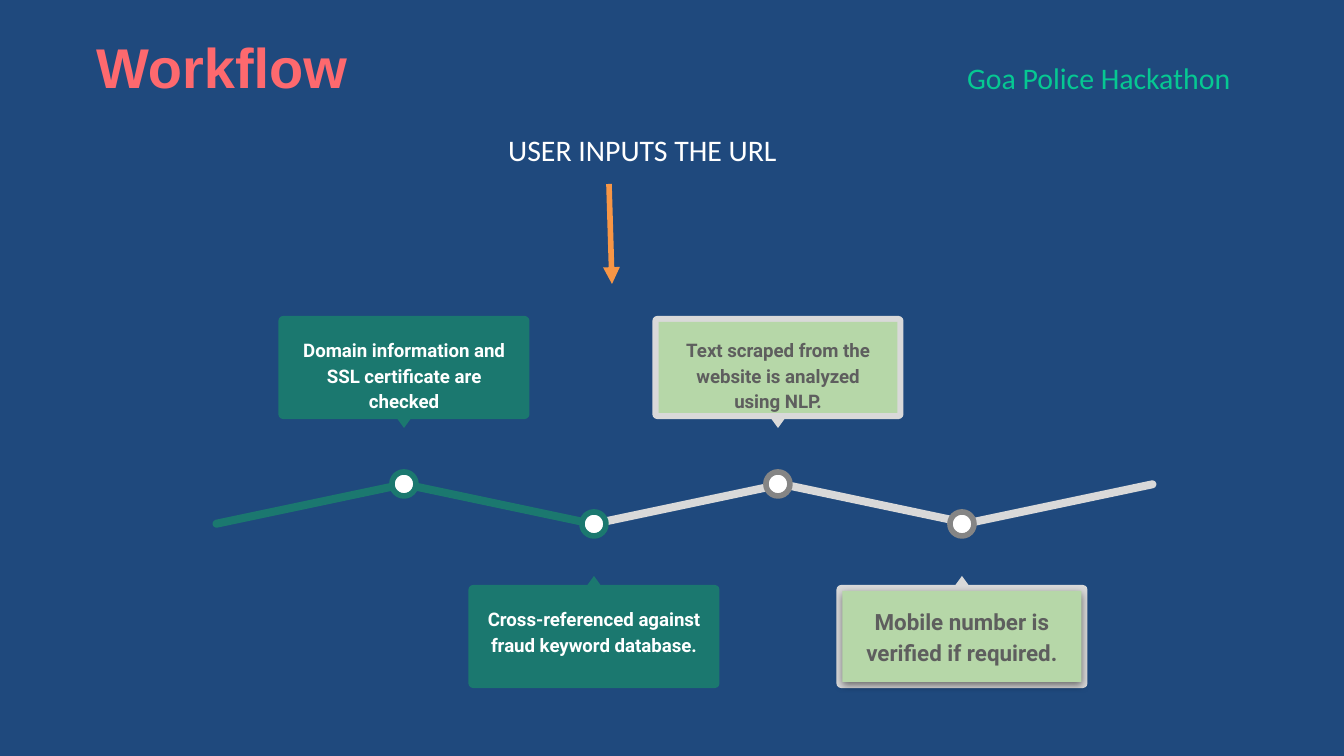
from lxml.etree import SubElement
from pptx import Presentation
from pptx.dml.color import RGBColor
from pptx.enum.shapes import MSO_CONNECTOR, MSO_SHAPE
from pptx.enum.text import MSO_ANCHOR, PP_ALIGN
from pptx.oxml.ns import qn
from pptx.util import Emu, Inches, Pt

PX = 914400 / 134.4
NAVY, TEAL, SILVER, GRAY = "1F497D", "1B786F", "D9D9D9", "858585"
GREEN, DARK, WHITE, ORANGE = "B6D7A8", "5E5E5E", "FFFFFF", "F79646"

# text, box in px, font, size, colour, bold
HEADINGS = [
    ("Goa Police Hackathon", (954, 46, 327, 59), "Calibri", 16, "06C892", False),
    ("Workflow", (83, 19, 456, 133), "Arial", 30, "FD696E", True),
    ("USER INPUTS THE URL", (495, 118, 480, 97), "Calibri", 16, WHITE, False),
]
ARROW = (609, 184, 612, 284)

DONE = {"card": TEAL, "ring": TEAL, "panel": None, "ink": WHITE}
PENDING = {"card": SILVER, "ring": GRAY, "panel": GREEN, "ink": DARK}
# text, centre x in px, above the line, style, text size, shadow
STEPS = [
    ("Domain information and SSL certificate are checked", 404, True, DONE, 10, False),
    ("Cross-referenced against fraud keyword database.", 594, False, DONE, 10, False),
    ("Text scraped from the website is analyzed using NLP.", 778, True, PENDING, 10, False),
    ("Mobile number is verified if required.", 962, False, PENDING, 12, True),
]
# centre x in px, colour; the segments rise and fall in turn
SEGMENTS = [(310, TEAL), (498, TEAL), (688, SILVER), (876, SILVER), (1059, SILVER)]
SEGMENT_SIZE, SEGMENT_Y, SLOPE = (199, 8), 504, 11.9
CARD_SIZE, PANEL_INSET = (251, 103), 6
POINTER_SIZE, DOT = (13, 9), 24


def px(*values):
    return [Emu(round(value * PX)) for value in values]


def color(hex_string):
    return RGBColor.from_string(hex_string)


def add_shape(shapes, kind, box, fill, adjustment=None, rotation=0, ring=None):
    shape = shapes.add_shape(kind, *px(*box))
    shape.shadow.inherit = False
    shape.fill.solid()
    shape.fill.fore_color.rgb = color(fill)
    if ring:
        shape.line.color.rgb = color(ring)
        shape.line.width = Pt(3)
    else:
        shape.line.fill.background()
    if adjustment is not None:
        shape.adjustments[0] = adjustment
    shape.rotation = rotation
    return shape


def write_text(shape, text, font, size, ink, bold=False, align=PP_ALIGN.LEFT,
               line_spacing=None, space_after=None):
    frame = shape.text_frame
    frame.word_wrap = True
    frame.vertical_anchor = MSO_ANCHOR.TOP
    frame.margin_left = frame.margin_right = Inches(0.1)
    frame.margin_top = frame.margin_bottom = Inches(0.1)
    paragraph = frame.paragraphs[0]
    paragraph.alignment = align
    paragraph.line_spacing = line_spacing
    paragraph.space_after = space_after
    run = paragraph.add_run()
    run.text = text
    run.font.name, run.font.size, run.font.bold = font, Pt(size), bold
    run.font.color.rgb = color(ink)


def add_soft_shadow(shape):
    effects = shape._element.spPr.find(qn("a:effectLst"))
    shadow = SubElement(effects, qn("a:outerShdw"), blurRad=str(Pt(4.5)),
                        dist=str(Pt(1.5)), dir="5400000", algn="t", rotWithShape="0")
    black = SubElement(shadow, qn("a:srgbClr"), val="000000")
    SubElement(black, qn("a:alpha"), val="50000")


def add_arrow(slide, ends):
    arrow = slide.shapes.add_connector(MSO_CONNECTOR.STRAIGHT, *px(*ends))
    arrow.line.color.rgb = color(ORANGE)
    arrow.line.width = Pt(3)
    SubElement(arrow.line._get_or_add_ln(), qn("a:tailEnd"), type="triangle")
    SubElement(arrow._element.spPr, qn("a:effectLst"))


def add_step(slide, text, x, above, style, size, shadow):
    """Group a card, its pointer, its text and its dot on the line."""
    shapes = slide.shapes.add_group_shape().shapes
    card_top, pointer_top, dot_y = (316, 419, 484) if above else (585, 576, 524)
    width, height = CARD_SIZE
    left = x - width / 2
    add_shape(shapes, MSO_SHAPE.ROUNDED_RECTANGLE, (left, card_top, width, height),
              style["card"], adjustment=0.045)
    add_shape(shapes, MSO_SHAPE.ISOSCELES_TRIANGLE,
              (x - POINTER_SIZE[0] / 2, pointer_top, *POINTER_SIZE),
              style["card"], rotation=180 if above else 0)
    panel_box = (left + PANEL_INSET, card_top + PANEL_INSET,
                 width - 2 * PANEL_INSET, height - 2 * PANEL_INSET)
    if style["panel"]:
        panel = add_shape(shapes, MSO_SHAPE.RECTANGLE, panel_box, style["panel"])
    else:
        panel = shapes.add_textbox(*px(*panel_box))
    if shadow:
        add_soft_shadow(panel)
    write_text(panel, text, "Roboto", size, style["ink"], bold=True,
               align=PP_ALIGN.CENTER, line_spacing=1.15, space_after=Pt(16))
    add_shape(shapes, MSO_SHAPE.OVAL, (x - DOT / 2, dot_y - DOT / 2, DOT, DOT),
              WHITE, ring=style["ring"])


def main():
    presentation = Presentation()
    presentation.slide_width, presentation.slide_height = px(1344, 756)
    slide = presentation.slides.add_slide(presentation.slide_layouts[6])
    slide.background.fill.solid()
    slide.background.fill.fore_color.rgb = color(NAVY)

    for text, box, font, size, ink, bold in HEADINGS:
        write_text(slide.shapes.add_textbox(*px(*box)), text, font, size, ink, bold=bold)

    width, height = SEGMENT_SIZE
    for index, (x, fill) in reversed(list(enumerate(SEGMENTS))):
        add_shape(slide.shapes, MSO_SHAPE.ROUNDED_RECTANGLE,
                  (x - width / 2, SEGMENT_Y - height / 2, width, height), fill,
                  adjustment=0.5, rotation=SLOPE if index % 2 else 360 - SLOPE)

    for step in STEPS:
        add_step(slide, *step)
    add_arrow(slide, ARROW)
    presentation.save("out.pptx")


if __name__ == "__main__":
    main()
